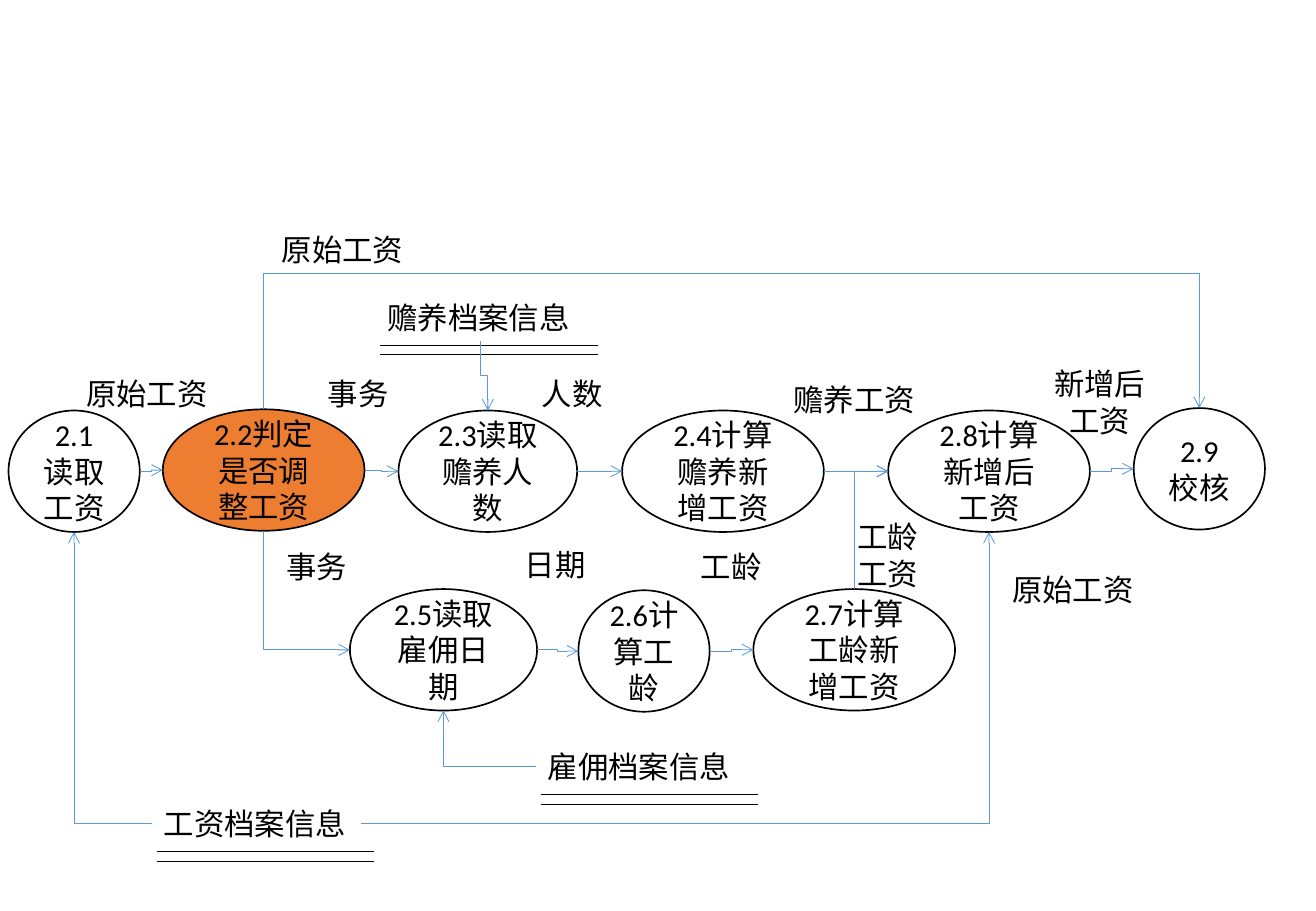
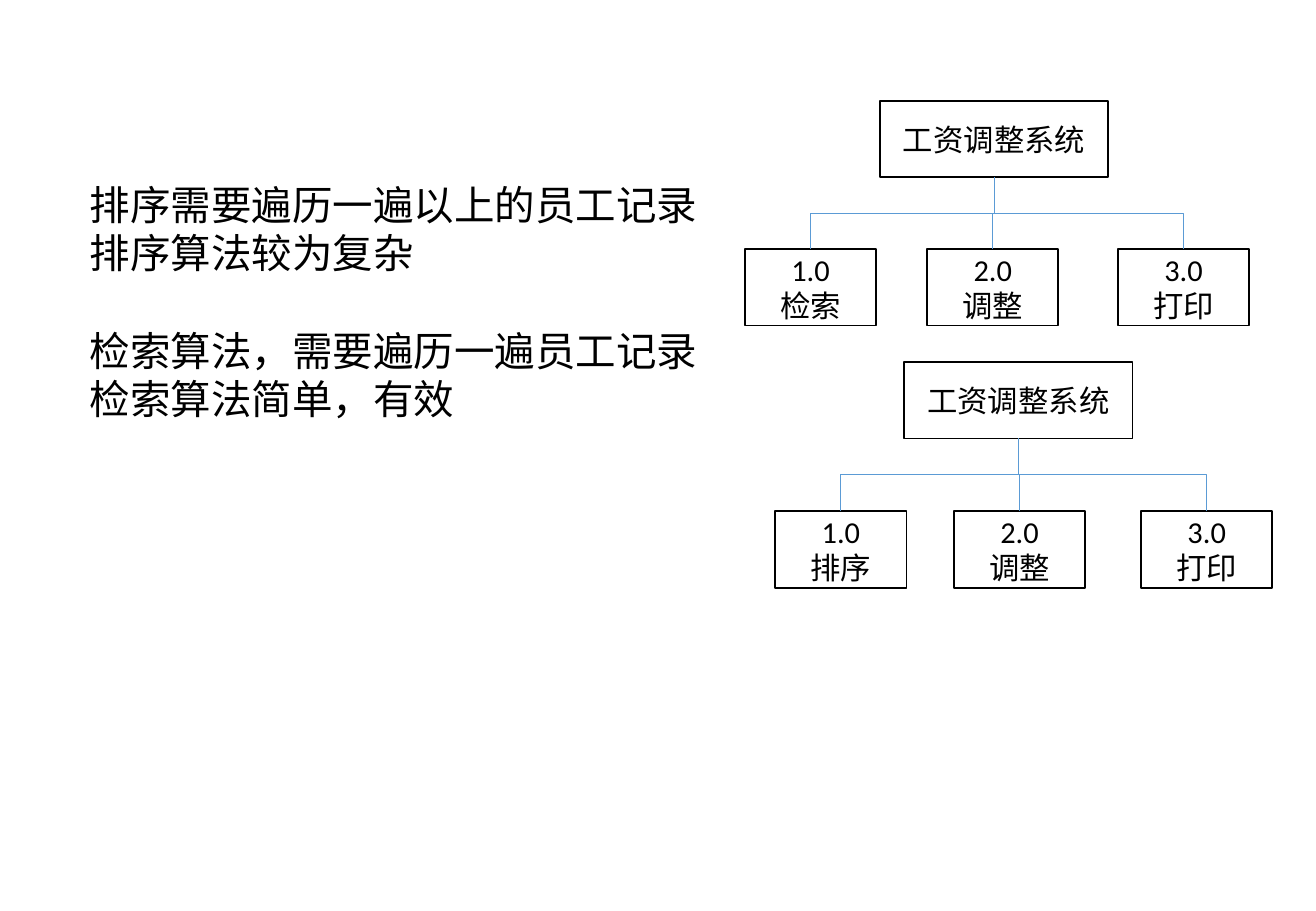
"""Build the salary adjustment data flow slide and the system structure slide."""
import pptx
import pptx.dml.color
import pptx.enum.shapes
import pptx.enum.text
import pptx.oxml.ns
import pptx.util
from lxml import etree

Inches = pptx.util.Inches
Pt = pptx.util.Pt
qn = pptx.oxml.ns.qn
SHAPES = pptx.enum.shapes.MSO_SHAPE
CENTER = pptx.enum.text.PP_ALIGN.CENTER

COLORS = {"ink": "000000", "paper": "FFFFFF", "flow": "5B9BD5", "decision": "ED7D31"}
FONT = "Calibri"

PROCESS_HEIGHT = 1
PROCESSES = {
    "2.1": ("2.1\n读取工资", 0.07, 3.38, 1.08),
    "2.2": ("2.2判定\n是否调整工资", 1.34, 3.37, 1.66),
    "2.3": ("2.3读取赡养人数", 3.28, 3.38, 1.47),
    "2.4": ("2.4计算\n赡养新增工资", 5.12, 3.38, 1.66),
    "2.5": ("2.5读取雇佣日期", 2.88, 4.85, 1.54),
    "2.6": ("2.6计算工龄", 4.76, 4.86, 1.08),
    "2.7": ("2.7计算\n工龄新增工资", 6.2, 4.85, 1.66),
    "2.8": ("2.8计算\n新增后工资", 7.31, 3.38, 1.66),
    "2.9": ("2.9\n校核", 9.33, 3.36, 1.08),
}
DECISION = "2.2"

STORE_SIZE = (1.72, 0.4)
STORES = {
    "赡养档案信息": (3.09, 2.41),
    "雇佣档案信息": (4.41, 6.11),
    "工资档案信息": (1.25, 6.58),
}
STORE_RULES = (0.43, 0.51)

SEQUENCES = [["2.1", "2.2", "2.3", "2.4", "2.8", "2.9"], ["2.5", "2.6", "2.7"]]
BRANCHES = [
    ("2.7", "top", "2.8", "left", {"vertical": True, "corner": True}),
    ("2.2", "bottom", "2.5", "left", {"vertical": True, "corner": True}),
    ("2.2", "top", "2.9", "top", {"vertical": True, "turn": 2.23}),
    ("赡养档案信息", "bottom", "2.3", "top", {"vertical": True}),
    ("雇佣档案信息", "left", "2.5", "bottom", {"corner": True}),
    ("工资档案信息", "left", "2.1", "bottom", {"corner": True}),
    ("工资档案信息", "right", "2.8", "bottom", {"corner": True}),
]

FLOW_LABELS = [
    ("原始工资", 0.61, 3.04, 1.21),
    ("原始工资", 2.22, 1.85, 1.21),
    ("原始工资", 8.23, 4.65, 1.21),
    ("事务", 2.6, 3.04, 0.71),
    ("事务", 2.26, 4.46, 0.71),
    ("人数", 4.36, 3.04, 0.71),
    ("日期", 4.22, 4.45, 0.71),
    ("工龄", 5.67, 4.46, 0.71),
    ("赡养工资", 6.43, 3.09, 1.21),
    ("工龄\n工资", 6.95, 4.22, 0.71),
    ("新增后\n工资", 8.57, 2.96, 0.96),
]

SYSTEM = "工资调整系统"
SYSTEM_WIDTH, MODULE_WIDTH, BOX_HEIGHT = 1.88, 1.08, 0.63
STRUCTURES = [
    ((7.24, 0.83), 2.05, [("1.0\n检索", 6.13), ("2.0\n调整", 7.63), ("3.0\n打印", 9.2)]),
    ((7.44, 2.98), 4.21, [("1.0\n排序", 6.38), ("2.0\n调整", 7.85), ("3.0\n打印", 9.39)]),
]
COMPARISON = [
    "排序需要遍历一遍以上的员工记录",
    "排序算法较为复杂",
    "检索算法，需要遍历一遍员工记录",
    "检索算法简单，有效",
]
SECOND_OPTION = 2


def rgb(name):
    return pptx.dml.color.RGBColor.from_string(COLORS[name])


def write(frame, text, size=18, align=None):
    frame.text = text
    for paragraph in frame.paragraphs:
        paragraph.alignment = align
        for run in paragraph.runs:
            run.font.size = Pt(size)
            run.font.name = FONT
            run.font.color.rgb = rgb("ink")


def add_label(shapes, text, box, size=18, align=None):
    frame = shapes.add_textbox(*map(Inches, box)).text_frame
    write(frame, text, size, align)
    frame.word_wrap = False
    frame.auto_size = pptx.enum.text.MSO_AUTO_SIZE.SHAPE_TO_FIT_TEXT
    return frame


def add_node(shapes, preset, text, box, fill="paper"):
    node = shapes.add_shape(preset, *map(Inches, box))
    node.shadow.inherit = False
    node.fill.solid()
    node.fill.fore_color.rgb = rgb(fill)
    node.line.color.rgb = rgb("ink")
    node.line.width = Pt(1)
    node.text_frame.vertical_anchor = pptx.enum.text.MSO_ANCHOR.MIDDLE
    write(node.text_frame, text, align=CENTER)


def add_line(shapes, kind, start, end, color):
    line = shapes.add_connector(kind, *map(Inches, (*start, *end)))
    line.line.color.rgb = rgb(color)
    line.line.width = Pt(0.5)
    etree.SubElement(line._element.spPr, qn("a:effectLst"))
    return line


def add_elbow(shapes, start, end, vertical=False, corner=False, turn=None, arrow=True):
    """Draw a bent connector; a vertical one is laid out flat and turned by 90 degrees."""
    (x1, y1), (x2, y2) = start, end
    if vertical:
        mid_x, mid_y = (x1 + x2) / 2, (y1 + y2) / 2
        start, end = [(mid_x + y - mid_y, mid_y - x + mid_x) for x, y in (start, end)]
    elbow = add_line(shapes, pptx.enum.shapes.MSO_CONNECTOR.ELBOW, start, end, "flow")
    properties = elbow._element.spPr
    geometry = properties.find(qn("a:prstGeom"))
    if vertical:
        properties.find(qn("a:xfrm")).set("rot", "5400000")
    if corner:
        geometry.set("prst", "bentConnector2")
    if turn is not None:
        share = round((turn - y1) / (y2 - y1) * 100000)
        guides = geometry.find(qn("a:avLst"))
        etree.SubElement(guides, qn("a:gd"), name="adj1", fmla=f"val {share}")
    if arrow:
        etree.SubElement(properties.find(qn("a:ln")), qn("a:tailEnd"), type="arrow")


def port(box, side):
    x, y, width, height = box
    return {
        "top": (x + width / 2, y),
        "bottom": (x + width / 2, y + height),
        "left": (x, y + height / 2),
        "right": (x + width, y + height / 2),
    }[side]


def add_store(shapes, text, box):
    store = shapes.add_group_shape().shapes
    add_label(store, text, box)
    left = box[0] + 0.04
    for drop in STORE_RULES:
        y = box[1] + drop
        add_line(store, pptx.enum.shapes.MSO_CONNECTOR.STRAIGHT, (left, y), (left + 1.79, y), "ink")


def build_data_flow(shapes):
    boxes = {}
    for name, place in STORES.items():
        boxes[name] = (*place, *STORE_SIZE)
        add_store(shapes, name, boxes[name])
    for name, (text, x, y, width) in PROCESSES.items():
        boxes[name] = (x, y, width, PROCESS_HEIGHT)
        fill = "decision" if name == DECISION else "paper"
        add_node(shapes, SHAPES.OVAL, text, boxes[name], fill)
    steps = [
        (source, "right", target, "left", {})
        for sequence in SEQUENCES
        for source, target in zip(sequence, sequence[1:])
    ]
    for source, exit_side, target, entry_side, route in steps + BRANCHES:
        add_elbow(shapes, port(boxes[source], exit_side), port(boxes[target], entry_side), **route)
    for text, x, y, width in FLOW_LABELS:
        height = 0.71 if "\n" in text else 0.4
        add_label(shapes, text, (x, y, width, height), align=CENTER if "\n" in text else None)


def build_structures(shapes):
    for place, module_top, modules in STRUCTURES:
        system = (*place, SYSTEM_WIDTH, BOX_HEIGHT)
        add_node(shapes, SHAPES.RECTANGLE, SYSTEM, system)
        for text, x in modules:
            module = (x, module_top, MODULE_WIDTH, BOX_HEIGHT)
            add_node(shapes, SHAPES.RECTANGLE, text, module)
            add_elbow(shapes, port(system, "bottom"), port(module, "top"), vertical=True, arrow=False)
    comparison = add_label(shapes, "\n".join(COMPARISON), (0.64, 1.43, 5.25, 2.12), 24)
    comparison.paragraphs[SECOND_OPTION].space_before = Pt(29)


def main():
    deck = pptx.Presentation()
    deck.slide_width, deck.slide_height = Inches(10.83), Inches(7.5)
    blank = deck.slide_layouts[6]
    for build in (build_data_flow, build_structures):
        build(deck.slides.add_slide(blank).shapes)
    deck.save("out.pptx")


if __name__ == "__main__":
    main()
